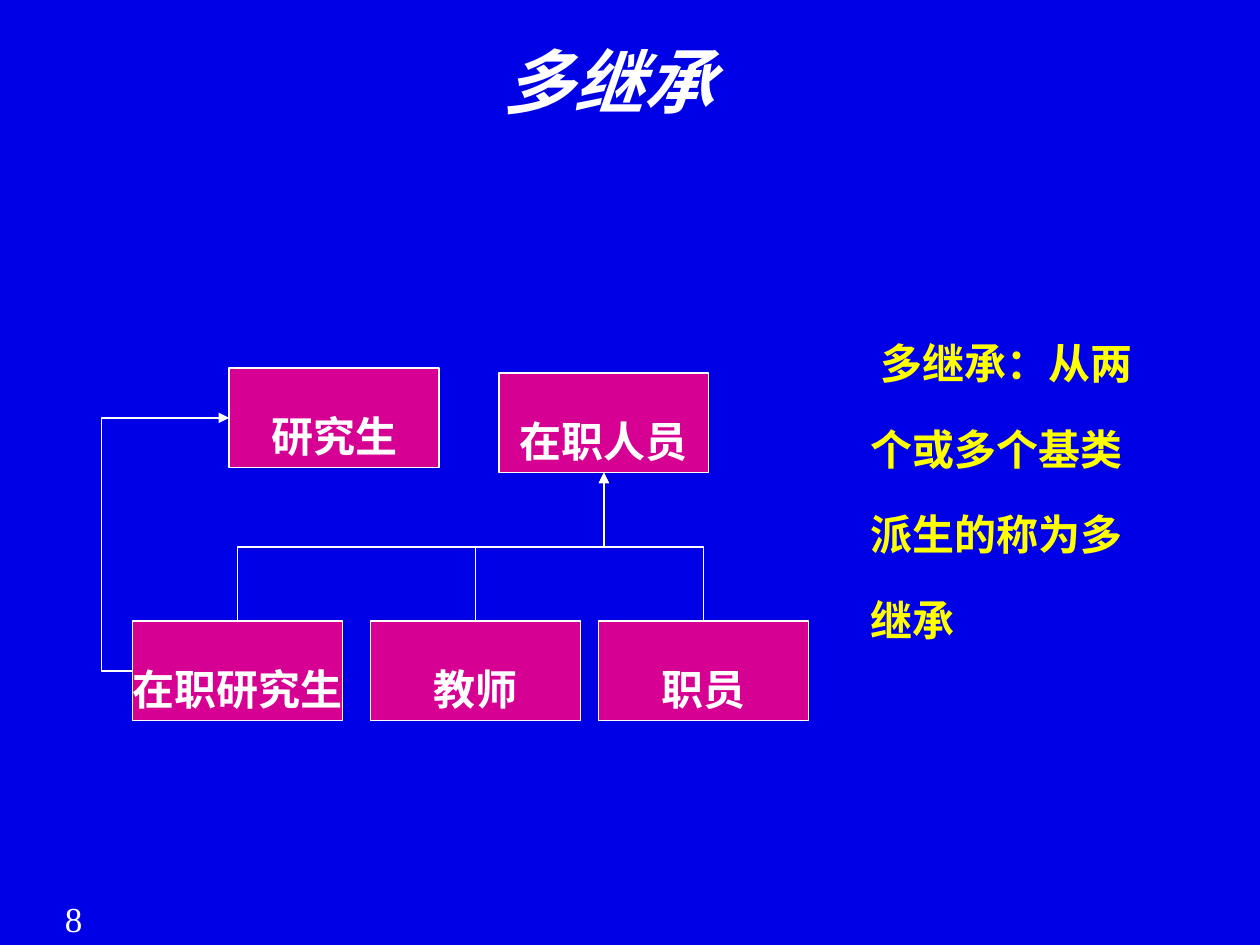
from dataclasses import dataclass

from lxml import etree
from pptx import Presentation
from pptx.dml.color import RGBColor
from pptx.enum import shapes, text
from pptx.oxml import ns
from pptx.util import Cm, Pt


@dataclass(frozen=True)
class Theme:
    background: RGBColor = RGBColor(0x00, 0x00, 0xE7)
    box: RGBColor = RGBColor(0xD6, 0x00, 0x93)
    light: RGBColor = RGBColor(0xFF, 0xFF, 0xFF)
    accent: RGBColor = RGBColor(0xFF, 0xFF, 0x00)
    font: str = "Times New Roman"
    title_size: int = 40
    text_size: int = 24
    number_size: int = 20
    line_width: float = 0.75
    line_spacing: float = 1.7


THEME = Theme()
TITLE = "多继承"
DEFINITION = " 多继承：从两个或多个基类派生的称为多继承"
PAGE_NUMBER = "8"

# Positions in centimetres: left, top, width, height
TITLE_AREA = (1.47, 0.64, 21.59, 3.18)
DEFINITION_AREA = (17.3, 5.97, 5.99, 7.16)
NUMBER_AREA = (0.43, 17.96, 2.11, 1.09)

BOX_WIDTH, BOX_HEIGHT = 4.23, 2.01
DERIVED_TOP = 12.52
CLASSES = {  # name: (left, top)
    "研究生": (4.62, 7.42),
    "在职研究生": (2.67, DERIVED_TOP),
    "教师": (7.47, DERIVED_TOP),
    "职员": (12.07, DERIVED_TOP),
    "在职人员": (10.06, 7.52),
}
TOP, LEFT, BOTTOM = 0, 1, 2
STAFF_CLASSES = ("在职研究生", "教师", "职员")
SIDE_DETOUR = 0.63


def place(shape, area):
    shape.left, shape.top, shape.width, shape.height = map(Cm, area)


def write(shape, words, size, color, align=None, anchor=None, wrap=True,
          spacing=None, bold=True, italic=False):
    frame = shape.text_frame
    frame.text = words
    frame.word_wrap = wrap
    frame.vertical_anchor = anchor
    paragraph = frame.paragraphs[0]
    paragraph.alignment = align
    paragraph.line_spacing = spacing
    font = paragraph.font
    font.name, font.size, font.color.rgb = THEME.font, Pt(size), color
    font.bold, font.italic = bold, italic


def add_class_box(slide, name, left, top):
    box = slide.shapes.add_shape(
        shapes.MSO_SHAPE.FLOWCHART_PROCESS,
        *map(Cm, (left, top, BOX_WIDTH, BOX_HEIGHT)))
    box.shadow.inherit = False
    box.fill.solid()
    box.fill.fore_color.rgb = THEME.box
    box.line.color.rgb = THEME.light
    box.line.width = Pt(THEME.line_width)
    write(box, name, THEME.text_size, THEME.light, text.PP_ALIGN.CENTER,
          text.MSO_ANCHOR.MIDDLE, wrap=False, spacing=THEME.line_spacing)
    return box


def site(box, side):
    if side == LEFT:
        return box.left, box.top + box.height // 2
    return box.left + box.width // 2, box.top + (box.height if side == BOTTOM else 0)


def add_inheritance(slide, child, child_side, parent, parent_side):
    """Draw an elbow arrow upwards from the child class to its parent class."""
    start_x, start_y = site(child, child_side)
    end_x, end_y = site(parent, parent_side)
    across, up = abs(end_x - start_x), start_y - end_y
    connector = slide.shapes.add_connector(
        shapes.MSO_CONNECTOR.ELBOW, start_x, start_y, end_x, end_y)
    connector.begin_connect(child, child_side)
    connector.end_connect(parent, parent_side)

    if child_side == LEFT:
        rotation, flip, size = 180, True, (across, up)
        bend = -Cm(SIDE_DETOUR) / across
    else:
        flip = end_x < start_x
        rotation, size = (90 if flip else 270), (up, across)
        bend = 0.5
    connector.width, connector.height = size
    connector.left = (start_x + end_x - size[0]) // 2
    connector.top = (start_y + end_y - size[1]) // 2

    properties = connector._element.spPr
    transform = properties.find(ns.qn("a:xfrm"))
    transform.set("rot", str(rotation * 60000))
    transform.set("flipH", str(int(flip)))
    transform.set("flipV", "0")
    guides = properties.find(ns.qn("a:prstGeom")).get_or_add_avLst()
    etree.SubElement(guides, ns.qn("a:gd"), name="adj1",
                     fmla=f"val {round(bend * 100000)}")

    connector.line.color.rgb = THEME.light
    connector.line.width = Pt(THEME.line_width)
    etree.SubElement(connector.line._get_or_add_ln(), ns.qn("a:tailEnd"),
                     type="triangle")
    etree.SubElement(properties, ns.qn("a:effectLst"))


def main():
    presentation = Presentation()
    presentation.slide_width, presentation.slide_height = Cm(25.4), Cm(19.05)
    slide = presentation.slides.add_slide(presentation.slide_layouts[5])
    slide.background.fill.solid()
    slide.background.fill.fore_color.rgb = THEME.background

    number = slide.shapes.add_textbox(*map(Cm, NUMBER_AREA))
    write(number, PAGE_NUMBER, THEME.number_size, THEME.light,
          text.PP_ALIGN.CENTER, bold=False)

    title = slide.shapes.title
    place(title, TITLE_AREA)
    write(title, TITLE, THEME.title_size, THEME.light, text.PP_ALIGN.CENTER,
          text.MSO_ANCHOR.TOP, italic=True)

    definition = slide.shapes.add_textbox(*map(Cm, DEFINITION_AREA))
    write(definition, DEFINITION, THEME.text_size, THEME.accent,
          anchor=text.MSO_ANCHOR.MIDDLE, spacing=THEME.line_spacing)

    boxes = {name: add_class_box(slide, name, *corner)
             for name, corner in CLASSES.items()}
    for name in STAFF_CLASSES:
        add_inheritance(slide, boxes[name], TOP, boxes["在职人员"], BOTTOM)
    add_inheritance(slide, boxes["在职研究生"], LEFT, boxes["研究生"], LEFT)

    presentation.save("out.pptx")


if __name__ == "__main__":
    main()
